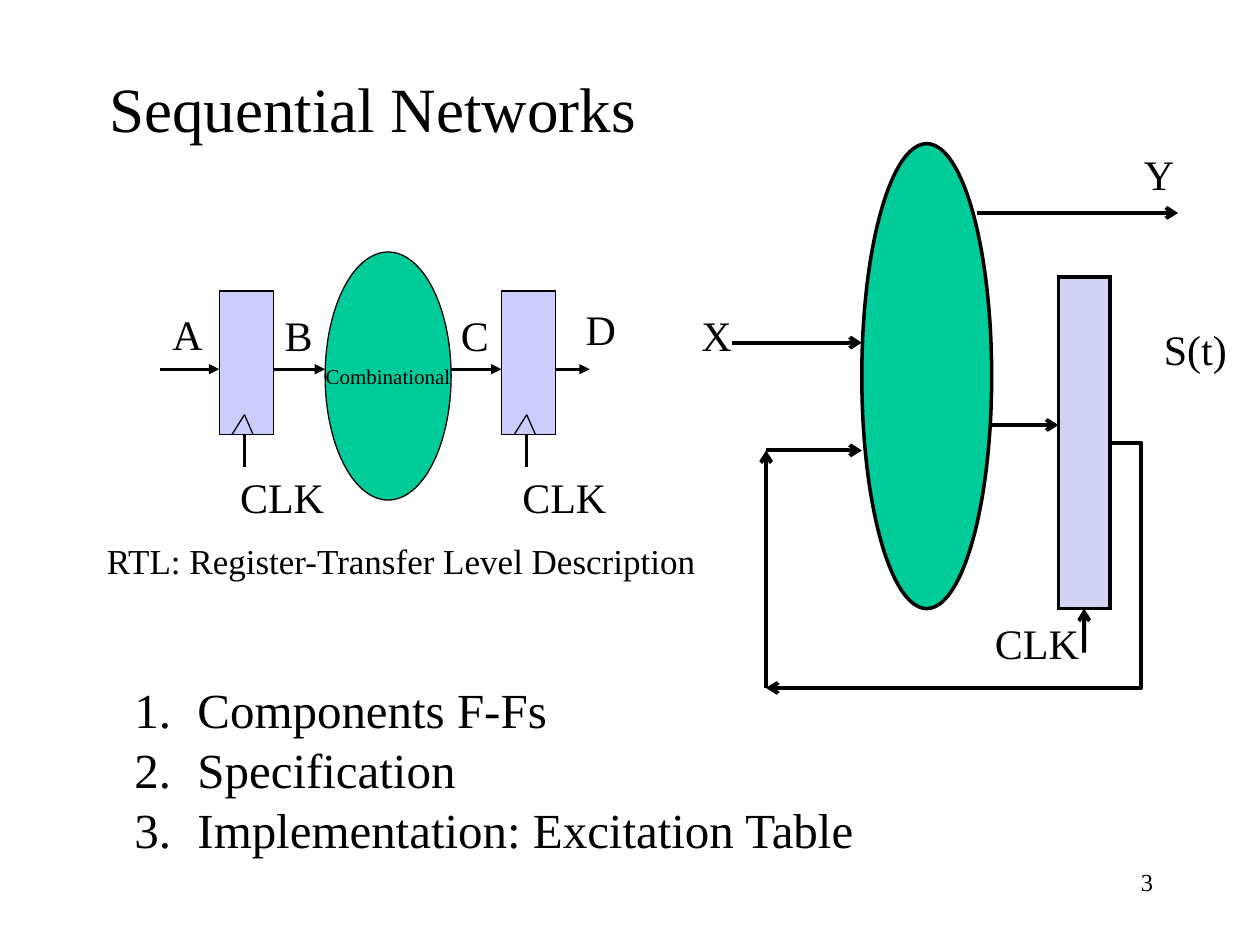
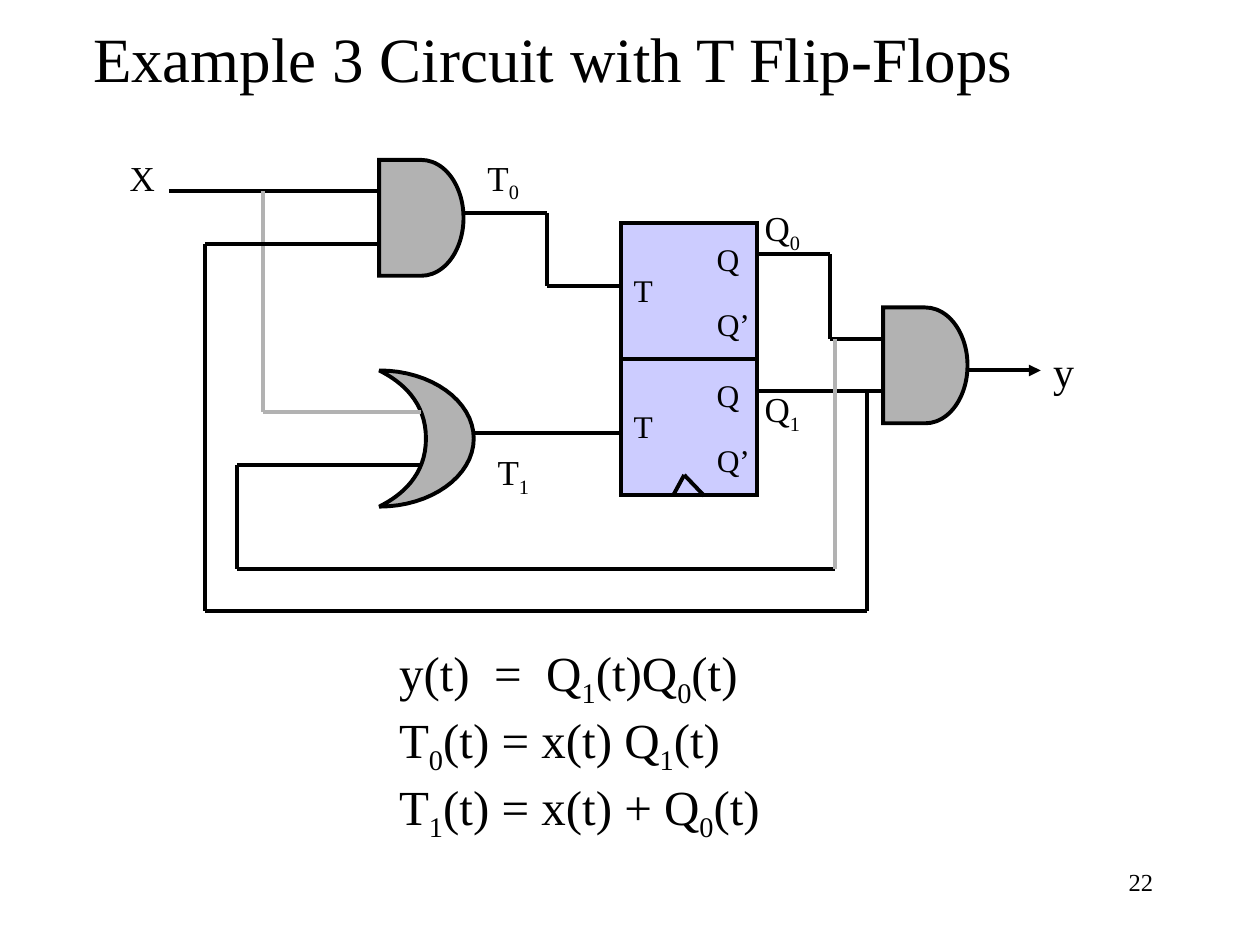
from lxml import etree
from pptx import Presentation
from pptx.dml.color import RGBColor
from pptx.enum import shapes, text
from pptx.oxml.ns import qn
from pptx.util import Pt

BLACK = RGBColor(0x00, 0x00, 0x00)
GREY = RGBColor(0xB2, 0xB2, 0xB2)
GREEN = RGBColor(0x00, 0xCC, 0x99)
LAVENDER = RGBColor(0xCC, 0xCC, 0xFF)
PALE_LAVENDER = RGBColor(0xD2, 0xD2, 0xF4)

FONT = "Times New Roman"
RECT = shapes.MSO_SHAPE.RECTANGLE
ELLIPSE = shapes.MSO_SHAPE.OVAL
AND_GATE = shapes.MSO_SHAPE.FLOWCHART_DELAY
LEFT, RIGHT = text.PP_ALIGN.LEFT, text.PP_ALIGN.RIGHT
CENTER = text.PP_ALIGN.CENTER
BOTTOM_SIDE, RIGHT_SIDE = 2, 3


def bezier(start, first, second, end, steps=16):
    """Points on a cubic curve, without its start."""
    points = []
    for step in range(1, steps + 1):
        t = step / steps
        weights = ((1 - t) ** 3, 3 * t * (1 - t) ** 2, 3 * t * t * (1 - t), t ** 3)
        points.append(tuple(sum(w * p[axis] for w, p in zip(weights, (start, first, second, end)))
                            for axis in (0, 1)))
    return points


class Sheet:
    """Draws on one blank slide; all lengths are points."""

    def __init__(self, deck, title, title_box, number):
        self.slide = deck.slides.add_slide(deck.slide_layouts[6])
        self.shapes = self.slide.shapes
        self.label(title, *title_box, size=36)
        self.label(number, 516.2, 491.8, 149.8, size=14, wrap=True, align=RIGHT)

    def paragraph(self, para, content, size, align=LEFT):
        """Writes content; the character after each underscore is a subscript."""
        para.alignment = align
        head, *tails = content.split("_")
        parts = [(head, False)]
        for tail in tails:
            parts += [(tail[0], True), (tail[1:], False)]
        for part, is_subscript in parts:
            if not part:
                continue
            run = para.add_run()
            run.text = part
            for name, value in {"name": FONT, "size": Pt(size)}.items():
                setattr(run.font, name, value)
            run.font.color.rgb = BLACK
            if is_subscript:
                run._r.get_or_add_rPr().set("baseline", "-25000")

    def frame(self, shape, wrap, anchor=text.MSO_ANCHOR.TOP, fit=text.MSO_AUTO_SIZE.NONE):
        settings = {"word_wrap": wrap, "vertical_anchor": anchor, "auto_size": fit,
                    "margin_left": Pt(7.2), "margin_right": Pt(7.2),
                    "margin_top": Pt(3.6), "margin_bottom": Pt(3.6)}
        for name, value in settings.items():
            setattr(shape.text_frame, name, value)
        return shape.text_frame

    def label(self, content, left, top, width, size=24, wrap=False, align=LEFT):
        """One paragraph per line of content, in a box that grows with its text."""
        lines = content.split("\n")
        height = 1.2 * size * len(lines) + 7.2
        box = self.shapes.add_textbox(Pt(left), Pt(top), Pt(width), Pt(height))
        frame = self.frame(box, wrap, fit=text.MSO_AUTO_SIZE.SHAPE_TO_FIT_TEXT)
        for index, line in enumerate(lines):
            para = frame.add_paragraph() if index else frame.paragraphs[0]
            self.paragraph(para, line, size, align)
        return frame

    def numbered(self, content, left, top, width, size):
        frame = self.label(content, left, top, width, size, wrap=True)
        for index, para in enumerate(frame.paragraphs):
            if index:
                para.space_before = Pt(0.7)
            props = para._p.get_or_add_pPr()
            props.set("marL", str(Pt(36)))
            props.set("indent", str(-Pt(36)))
            etree.SubElement(props, qn("a:buFont"), typeface=FONT)
            etree.SubElement(props, qn("a:buAutoNum"), type="arabicPeriod")

    def outline(self, shape, fill, weight):
        shape.shadow.inherit = False
        shape.fill.solid()
        shape.fill.fore_color.rgb = fill
        shape.line.color.rgb = BLACK
        shape.line.width = Pt(weight)
        etree.SubElement(shape.line._get_or_add_ln(), qn("a:miter"), lim="800000")
        return shape

    def block(self, kind, left, top, width, height, fill, weight=2.25, caption=None):
        shape = self.shapes.add_shape(kind, Pt(left), Pt(top), Pt(width), Pt(height))
        if caption:
            frame = self.frame(shape, False, text.MSO_ANCHOR.MIDDLE)
            self.paragraph(frame.paragraphs[0], caption, 12, CENTER)
        return self.outline(shape, fill, weight)

    def or_gate(self, left, top, dent, width, height):
        """A crescent whose inner edge lies dent points from the left."""
        middle, bottom = top + height / 2, top + height
        inner, outer = left + dent, left + width
        upper_tip, lower_tip = (left, top), (left, bottom)
        points = (
            bezier(upper_tip, (left + 13, top + 6.5), (inner, top + 18), (inner, middle))
            + bezier((inner, middle), (inner, bottom - 18), (left + 13, bottom - 6.5), lower_tip)
            + bezier(lower_tip, (left + 29.5, bottom), (outer, bottom - 17.3), (outer, middle))
            + bezier((outer, middle), (outer, top + 17.3), (left + 29.5, top), upper_tip))
        builder = self.shapes.build_freeform(Pt(left), Pt(top))
        builder.add_line_segments([(Pt(x), Pt(y)) for x, y in points], close=True)
        return self.outline(builder.convert_to_shape(), GREY, 2.25)

    def link(self, start, end, weight=2.25, color=BLACK, arrow=None,
             kind=shapes.MSO_CONNECTOR.STRAIGHT):
        line = self.shapes.add_connector(kind, *(Pt(v) for v in (*start, *end)))
        line.line.color.rgb = color
        line.line.width = Pt(weight)
        if arrow:
            etree.SubElement(line.line._get_or_add_ln(), qn("a:tailEnd"), type=arrow)
        etree.SubElement(line._element.spPr, qn("a:effectLst"))
        return line

    def wire(self, *points, **style):
        """Straight lines through all points."""
        for start, end in zip(points, points[1:]):
            self.link(start, end, **style)


def draw_register_transfer(sheet):
    bottom, level = 248.4, 211
    for left in (125.3, 286.6):
        sheet.block(RECT, left, 166.3, 31, 82.1, LAVENDER, 0.75)
        clock = left + 14.4
        sheet.wire((left + 7.2, bottom), (clock, 237), (left + 19.4, bottom), weight=0.75)
        sheet.wire((clock, bottom), (clock, 267.1), weight=1.5)
        sheet.label("CLK", left + 4.8, 265.7, 64)
    sheet.block(ELLIPSE, 185.8, 144, 72, 141.8, GREEN, 0.75, "Combinational")
    for start, end in ((91.4, 125.3), (156.6, 185.8), (257.8, 286.6), (317.5, 337)):
        sheet.wire((start, level), (end, level), weight=1.5, arrow="triangle")
    for signal, left, top, width in (("A", 91.4, 172.8, 31.7), ("B", 155.5, 173.5, 30.2),
                                     ("C", 256.3, 173.5, 30.2), ("D", 327.6, 169.9, 31.7)):
        sheet.label(signal, left, top, width)
    sheet.label("RTL: Register-Transfer Level Description", 54, 304.6, 352.8, 20)


def draw_state_machine(sheet):
    state = sheet.block(RECT, 604.8, 158.4, 29.5, 189.4, PALE_LAVENDER, 2)
    sheet.block(ELLIPSE, 492.5, 82.1, 74.2, 265.7, GREEN, 2)
    corner, entry = (437.8, 393.1), (437.8, 257.4)
    for start, end in (((418.3, 195.8), (492.5, 195.8)),
                       ((567, 242.9), (604.8, 242.9)),
                       (corner, entry),
                       (entry, (492.5, 257.4)),
                       ((558, 121.7), (673.2, 121.7))):
        sheet.link(start, end, arrow="arrow")

    feedback = sheet.link((634.3, 253.1), corner, arrow="arrow",
                          kind=shapes.MSO_CONNECTOR.ELBOW)
    feedback.begin_connect(state, RIGHT_SIDE)
    bend = feedback._element.spPr.find(qn("a:prstGeom")).get_or_add_avLst()
    etree.SubElement(bend, qn("a:gd"), name="adj1", fmla="val -9100")

    clock = sheet.link((619.5, 373), (619.5, 347.8), arrow="arrow")
    clock.end_connect(state, BOTTOM_SIDE)
    for signal, left, top, width in (("X", 393.8, 173.5, 31.7), ("Y", 646.6, 81.4, 31.7),
                                     ("S(t)", 658, 181.4, 50.4), ("CLK", 561.5, 349.2, 64)):
        sheet.label(signal, left, top, width)


def draw_flip_flop_circuit(sheet):
    for left, top in ((216.7, 91.4), (504.7, 175.7)):
        sheet.block(AND_GATE, left, top, 48.2, 66.2, GREY)
    sheet.or_gate(216.7, 211.7, 26.7, 54, 77.8)

    side = 77.8
    for top in (127.4, 127.4 + side):
        sheet.block(RECT, 355, top, side, side, LAVENDER)
        for pin, left, drop, width in (("T", 355, 23.8, 25.2), ("Q", 402.5, 6.2, 28),
                                       ("Q’", 402.5, 43.2, 35)):
            sheet.label(pin, left, top + drop, width, 18)
    sheet.wire((384.5, 283.4), (391, 271.4), (402.5, 283.4))

    x_input = [(96.5, 109.4), (216.7, 109.4)]
    x_branch = [(150.5, 109.4), (150.5, 235.4), (240.5, 235.4)]
    t0 = [(265, 121.7), (312.5, 121.7), (312.5, 163.4), (355, 163.4)]
    t1 = [(270.7, 247.7), (355, 247.7)]
    q0 = [(432.8, 145.4), (474.5, 145.4), (474.5, 193.7), (504.7, 193.7)]
    q1 = [(432.8, 223.2), (504.7, 223.2)]
    q0_return = [(240.5, 265.7), (135.4, 265.7), (135.4, 325.4), (477.4, 325.4)]
    q0_branch = [(477.4, 325.4), (477.4, 193.7)]
    q1_return = [(216.7, 139.7), (117.4, 139.7), (117.4, 349.2), (495.4, 349.2), (495.4, 223.2)]
    sheet.wire(*x_input)
    sheet.wire(*x_branch, color=GREY)
    for net in (t0, t1, q0, q1, q0_return, q1_return):
        sheet.wire(*net)
    sheet.wire(*q0_branch, color=GREY)
    sheet.wire((553, 211.7), (594.7, 211.7), arrow="triangle")

    for signal, left, top, width in (("X", 67, 85.7, 28.8), ("T_0", 271.4, 85.7, 32.4),
                                     ("T_1", 277.2, 253.8, 32.4), ("Q_0", 429.8, 114.5, 34.6),
                                     ("Q_1", 429.8, 217.8, 34.6)):
        sheet.label(signal, left, top, width, 20)
    sheet.label("y", 594.7, 193.7, 25.9)


def main():
    deck = Presentation()
    deck.slide_width, deck.slide_height = Pt(720), Pt(540)

    networks = Sheet(deck, "Sequential Networks", (55.4, 36, 315.4), "3")
    draw_register_transfer(networks)
    draw_state_machine(networks)
    networks.numbered("Components F-Fs\nSpecification\nImplementation: Excitation Table",
                      69.8, 384.6, 563.8, 28)

    example = Sheet(deck, "Example 3 Circuit with T Flip-Flops", (46.1, 7.9, 541.4), "22")
    draw_flip_flop_circuit(example)
    example.label("y(t)  =  Q_1(t)Q_0(t)\nT_0(t) = x(t) Q_1(t)\nT_1(t) = x(t) + Q_0(t)",
                  221, 363.6, 408.2, 28, wrap=True)
    deck.save("out.pptx")


if __name__ == "__main__":
    main()
